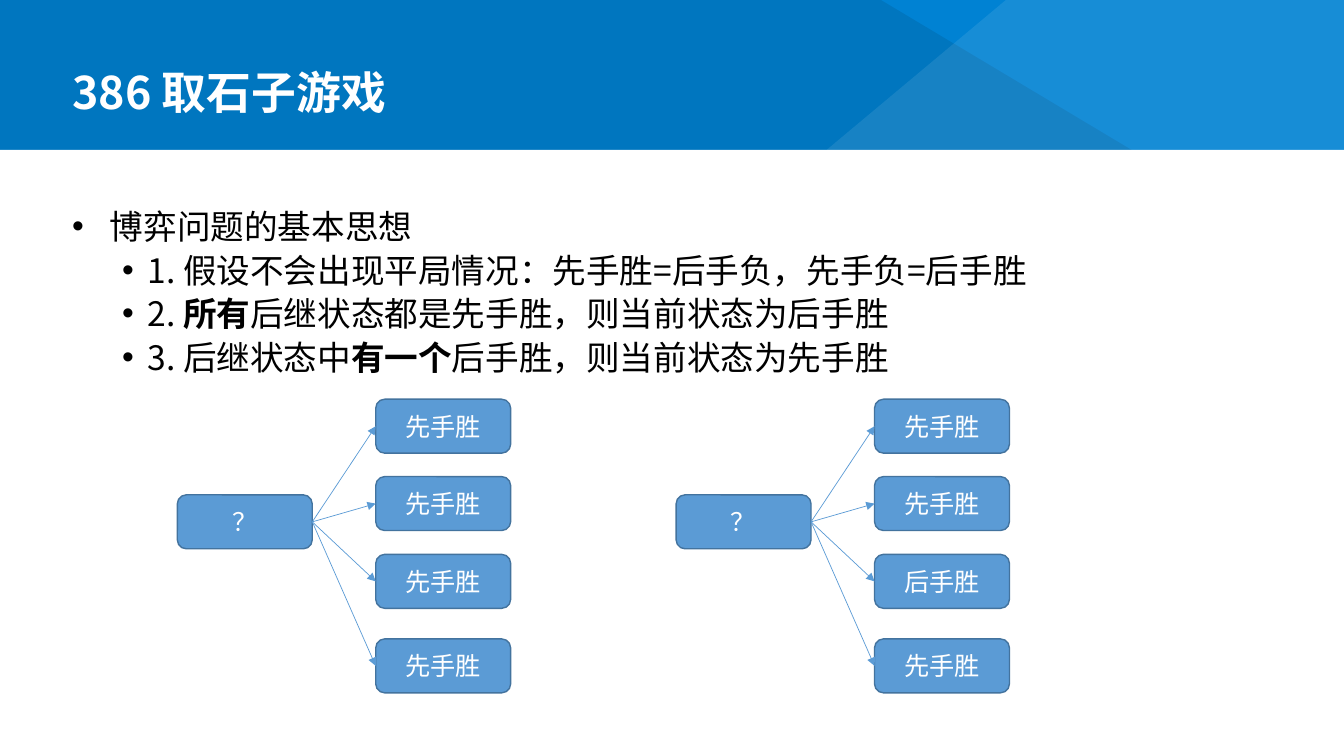
from dataclasses import dataclass

from lxml import etree
from pptx import Presentation, util as u
from pptx.dml.color import RGBColor
from pptx.enum import shapes, text
from pptx.oxml import ns
from pptx.shapes.autoshape import Shape
from pptx.slide import Slide
from pptx.util import Cm, Pt

FONT = "Noto Sans CJK SC"
BLACK = RGBColor(0x00, 0x00, 0x00)
WHITE = RGBColor(0xFF, 0xFF, 0xFF)
HEADER_BLUE = RGBColor(0x00, 0x82, 0xD3)
BOX_BLUE = RGBColor(0x5B, 0x9B, 0xD5)
BOX_BORDER = RGBColor(0x43, 0x73, 0x9E)

SLIDE_WIDTH, SLIDE_HEIGHT, HEADER_HEIGHT = 33.87, 19.05, 3.78
MARGIN = 1.57
BOX_WIDTH, BOX_HEIGHT = 3.4, 1.36
ROOT_TOP = 12.47
SUCCESSOR_OFFSET = 5.0
SUCCESSOR_TOPS = (10.06, 12.01, 13.97, 16.1)


@dataclass
class Facet:
    outline: list[tuple[float, float]]
    color: RGBColor


@dataclass
class GameTree:
    left: float
    successors: tuple[str, ...]


@dataclass
class Line:
    text: str
    level: int
    left: float
    hanging: float
    spacing: float


FACETS = [
    Facet([(28.52, HEADER_HEIGHT), (0, HEADER_HEIGHT), (0, 0), (22.2, 0)], BLACK),
    Facet([(20.83, HEADER_HEIGHT), (SLIDE_WIDTH, HEADER_HEIGHT),
           (SLIDE_WIDTH, 0), (25.35, 0)], WHITE),
]
LINES = [
    Line("博弈问题的基本思想", 0, 0.95, 0.95, 45),
    Line("1. 假设不会出现平局情况：先手胜=后手负，先手负=后手胜", 1, 1.9, 0.64, 31),
    Line("2. **所有**后继状态都是先手胜，则当前状态为后手胜", 1, 1.9, 0.64, 31),
    Line("3. 后继状态中**有一个**后手胜，则当前状态为先手胜", 1, 1.9, 0.64, 31),
]
TREES = [
    GameTree(4.47, ("先手胜", "先手胜", "先手胜", "先手胜")),
    GameTree(17.04, ("先手胜", "先手胜", "后手胜", "先手胜")),
]


def add_element(parent: etree._Element, tag: str, **attributes: str) -> etree._Element:
    return etree.SubElement(parent, ns.qn(tag), **attributes)


def write_text(paragraph, content: str, *, size: float, color: RGBColor,
               bold: bool = False, align=text.PP_ALIGN.LEFT,
               spacing: float | u.Length = 1.0) -> None:
    """Write runs; a part between double asterisks is bold."""
    paragraph.alignment = align
    paragraph.line_spacing = spacing
    paragraph.space_before = Pt(0)
    for index, part in enumerate(content.split("**")):
        run = paragraph.add_run()
        run.text = part
        run.font.size = Pt(size)
        run.font.bold = bold or index % 2 == 1
        run.font.color.rgb = color
        run.font.name = FONT
        add_element(run.font._element, "a:ea", typeface=FONT)


def add_box(slide: Slide, kind: shapes.MSO_SHAPE, left: float, top: float,
            width: float, height: float, fill: RGBColor) -> Shape:
    shape = slide.shapes.add_shape(kind, Cm(left), Cm(top), Cm(width), Cm(height))
    shape.shadow.inherit = False
    shape.fill.solid()
    shape.fill.fore_color.rgb = fill
    shape.line.fill.background()
    return shape


def add_facet(slide: Slide, facet: Facet) -> None:
    points = [(Cm(x), Cm(y)) for x, y in facet.outline]
    builder = slide.shapes.build_freeform(*points[0])
    builder.add_line_segments(points[1:], close=True)
    shape = builder.convert_to_shape()
    shape.shadow.inherit = False
    shape.line.fill.background()
    shape.fill.solid()
    shape.fill.fore_color.rgb = facet.color
    color = shape._element.spPr.find(ns.qn("a:solidFill"))[0]
    add_element(color, "a:alpha", val="9000")


def add_header(slide: Slide) -> None:
    rectangle = shapes.MSO_SHAPE.RECTANGLE
    add_box(slide, rectangle, 0, 0, SLIDE_WIDTH, SLIDE_HEIGHT, HEADER_BLUE)
    for facet in FACETS:
        add_facet(slide, facet)
    add_box(slide, rectangle, 0, HEADER_HEIGHT, SLIDE_WIDTH,
            SLIDE_HEIGHT - HEADER_HEIGHT, WHITE)

    title = slide.shapes.title
    title.left, title.top = Cm(MARGIN), Cm(1.57)
    title.width, title.height = Cm(24.61), Cm(1.57)
    frame = title.text_frame
    frame.auto_size = text.MSO_AUTO_SIZE.NONE
    frame.vertical_anchor = text.MSO_ANCHOR.BOTTOM
    write_text(frame.paragraphs[0], "386 取石子游戏", size=32, color=WHITE,
               bold=True, spacing=0.9)
    slide.shapes._spTree.append(title._element)  # in front of the header


def add_ideas(slide: Slide) -> None:
    frame = slide.shapes.add_textbox(Cm(MARGIN), Cm(4.5), Cm(30.66), Cm(12.95)).text_frame
    frame.word_wrap = True
    for index, line in enumerate(LINES):
        paragraph = frame.add_paragraph() if index else frame.paragraphs[0]
        paragraph.level = line.level
        write_text(paragraph, line.text, size=24, color=BLACK, spacing=Pt(line.spacing))
        properties = paragraph._p.get_or_add_pPr()
        properties.set("marL", str(Cm(line.left)))
        properties.set("indent", str(-Cm(line.hanging)))
        add_element(properties, "a:buFont", typeface="Arial")
        add_element(properties, "a:buChar", char="•")


def add_state(slide: Slide, label: str, left: float, top: float) -> Shape:
    state = add_box(slide, shapes.MSO_SHAPE.ROUNDED_RECTANGLE, left, top,
                    BOX_WIDTH, BOX_HEIGHT, BOX_BLUE)
    state.line.color.rgb = BOX_BORDER
    state.line.width = Pt(1)
    state.text_frame.vertical_anchor = text.MSO_ANCHOR.MIDDLE
    write_text(state.text_frame.paragraphs[0], label, size=18, color=WHITE,
               align=text.PP_ALIGN.CENTER)
    return state


def add_arrow(slide: Slide, start: Shape, end: Shape) -> None:
    arrow = slide.shapes.add_connector(shapes.MSO_CONNECTOR.STRAIGHT, 0, 0, 0, 0)
    arrow.begin_connect(start, 3)
    arrow.end_connect(end, 1)
    arrow.line.color.rgb = BOX_BLUE
    arrow.line.width = Pt(0.5)
    add_element(arrow.line._get_or_add_ln(), "a:tailEnd", type="triangle")
    add_element(arrow._element.spPr, "a:effectLst")


def add_tree(slide: Slide, tree: GameTree) -> None:
    root = add_state(slide, "？", tree.left, ROOT_TOP)
    for label, top in zip(tree.successors, SUCCESSOR_TOPS):
        successor = add_state(slide, label, tree.left + SUCCESSOR_OFFSET, top)
        add_arrow(slide, root, successor)


def main() -> None:
    presentation = Presentation()
    presentation.slide_width = Cm(SLIDE_WIDTH)
    presentation.slide_height = Cm(SLIDE_HEIGHT)
    slide = presentation.slides.add_slide(presentation.slide_layouts[5])
    add_header(slide)
    add_ideas(slide)
    for tree in TREES:
        add_tree(slide, tree)
    presentation.save("out.pptx")


if __name__ == "__main__":
    main()
